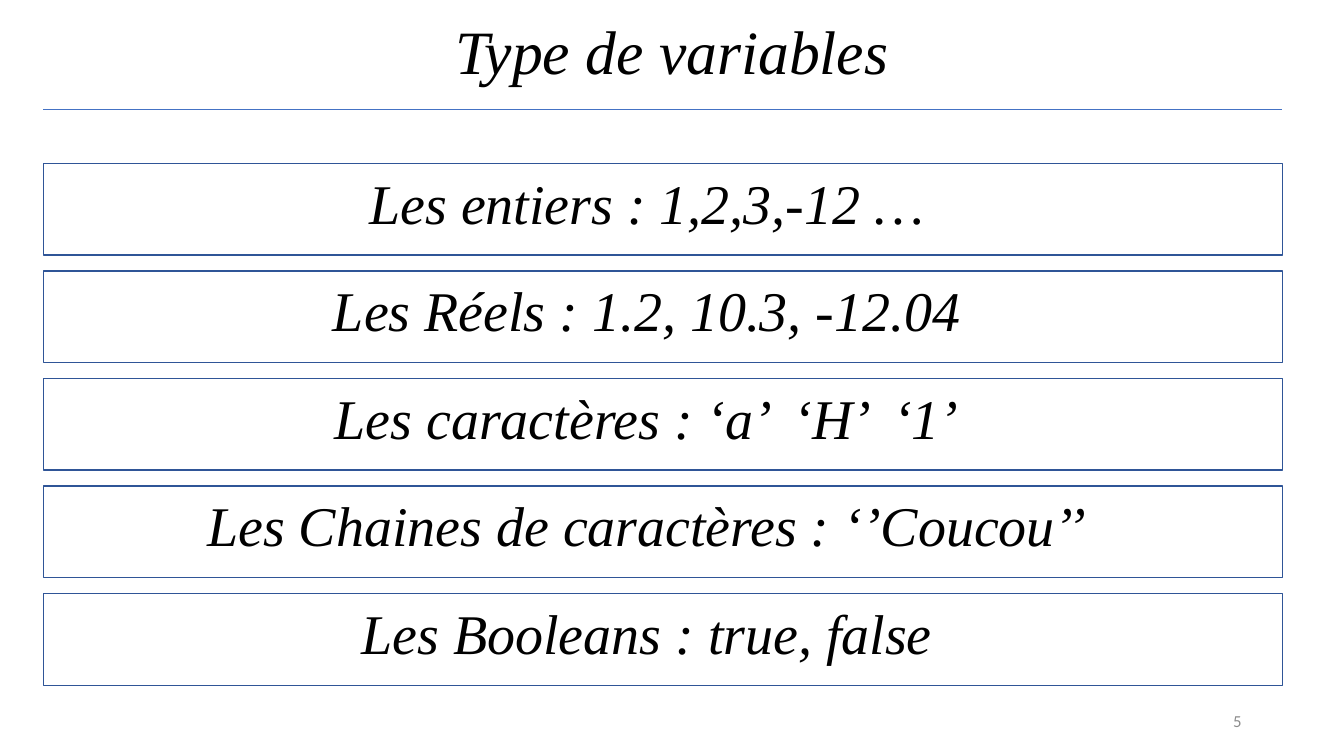
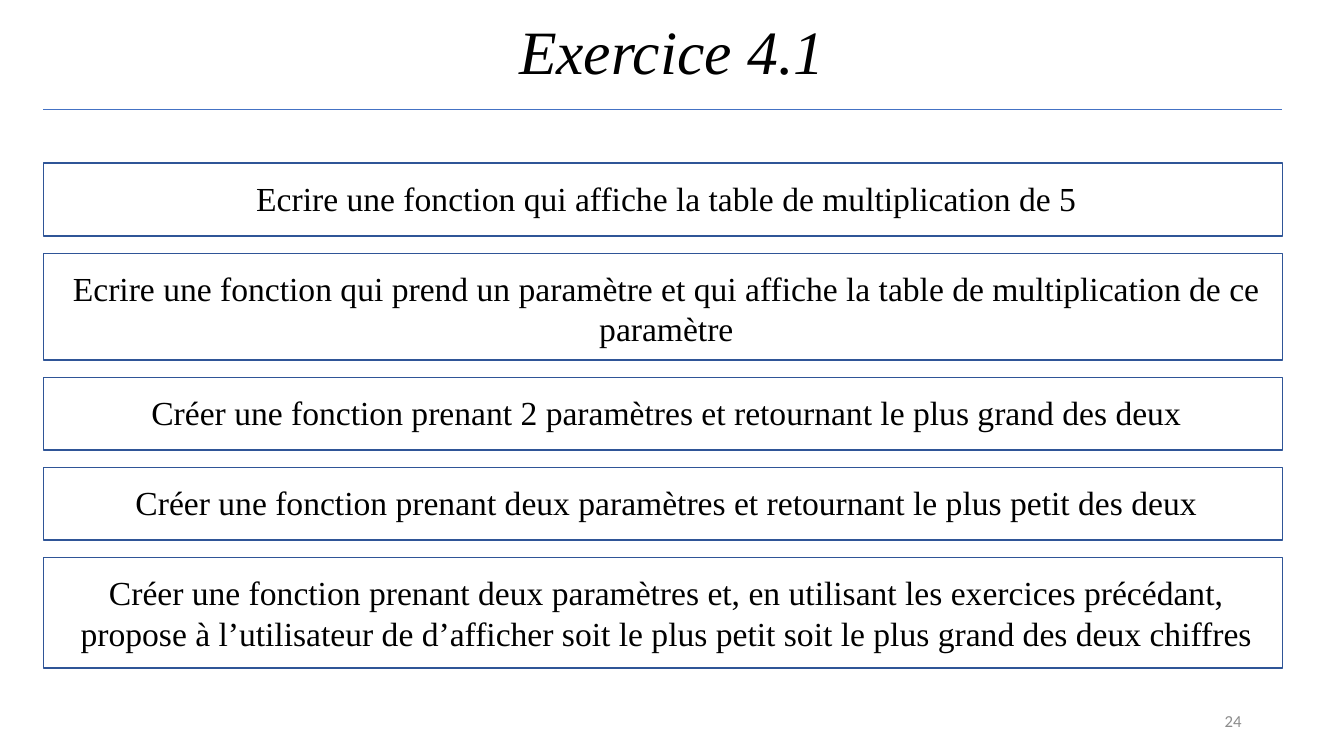
"""Build two lesson slides: variable types and a function exercise."""
from dataclasses import dataclass

from lxml.etree import SubElement
from pptx import Presentation
from pptx.dml.color import RGBColor as Color
from pptx.enum.shapes import MSO_CONNECTOR as Connector, MSO_SHAPE as Shape
from pptx.enum.text import MSO_ANCHOR as Anchor, MSO_AUTO_SIZE as Fit, PP_ALIGN as Align
from pptx.oxml.ns import qn
from pptx.util import Pt


@dataclass(frozen=True)
class Theme:
    """Colours, type styles and shared lengths in points."""

    width: float = 960
    height: float = 540
    left: float = 31
    right: float = 916
    rule_top: float = 78
    stack_top: float = 116.6
    text_left: float = 44
    rule: Color = Color.from_string("4472C4")
    border: Color = Color.from_string("2F5597")
    ink: Color = Color.from_string("000000")
    muted: Color = Color.from_string("8C8C8C")
    serif: str = "Times New Roman"
    sans: str = "Calibri"

    def style(self, name):
        """Return the font format values for a named kind of text."""
        return {
            "title": {"name": self.serif, "size": Pt(44), "italic": True},
            "type": {"name": self.serif, "size": Pt(40), "italic": True},
            "task": {"name": self.serif, "size": Pt(24), "italic": False},
            "number": {"name": self.sans, "size": Pt(12), "italic": False},
        }[name]


@dataclass(frozen=True)
class Stack:
    """Layout of a column of framed statements, in points."""

    style: str
    gap: float
    inset: float
    text_width: float


THEME = Theme()
TYPES = Stack("type", gap=11.35, inset=0, text_width=836)
TASKS = Stack("task", gap=12.3, inset=7, text_width=864)

VARIABLE_TYPES = [
    ("Les entiers : 1,2,3,-12 …", 65.5),
    ("Les Réels : 1.2, 10.3, -12.04", 65.5),
    ("Les caractères : ‘a’  ‘H’  ‘1’", 65.5),
    ("Les Chaines de caractères : ‘’Coucou’’", 65.5),
    ("Les Booleans : true, false", 65.5),
]
EXERCISES = [
    ("Ecrire une fonction qui affiche la table de multiplication de 5", 52),
    ("Ecrire une fonction qui prend un paramètre et qui affiche la table "
     "de multiplication de ce paramètre", 76.3),
    ("Créer une fonction prenant 2 paramètres et retournant le plus grand des deux", 52),
    ("Créer une fonction prenant deux paramètres et retournant le plus petit des deux", 52),
    ("Créer une fonction prenant deux paramètres et, en utilisant les exercices "
     "précédant, propose à l’utilisateur de d’afficher soit le plus petit soit "
     "le plus grand des deux chiffres", 79),
]


def apply(target, values):
    """Set each format value as an attribute of the target."""
    for name, value in values.items():
        setattr(target, name, value)


def add_text(page, text, area, style, color=THEME.ink, para_format=None, frame_format=None):
    """Add a wrapped text box with one styled paragraph."""
    box = page.shapes.add_textbox(*map(Pt, area))
    apply(box.text_frame, {"word_wrap": True, **(frame_format or {})})
    para = box.text_frame.paragraphs[0]
    apply(para, {"alignment": Align.CENTER, **(para_format or {})})
    span = para.add_run()
    span.text = text
    apply(span.font, THEME.style(style))
    span.font.color.rgb = color


def add_rule(page):
    """Draw the thin line under the title."""
    line = page.shapes.add_connector(
        Connector.STRAIGHT, *map(Pt, (THEME.left, THEME.rule_top, THEME.right, THEME.rule_top)))
    line.line.color.rgb = THEME.rule
    line.line.width = Pt(0.5)
    SubElement(line.element.spPr, qn("a:effectLst"))


def add_frame(page, top, height):
    """Draw an unfilled full-width frame."""
    frame = page.shapes.add_shape(
        Shape.RECTANGLE, *map(Pt, (THEME.left, top, THEME.right - THEME.left, height)))
    frame.shadow.inherit = False
    frame.fill.background()
    frame.line.color.rgb = THEME.border
    frame.line.width = Pt(1)


def add_stack(page, stack, items):
    """Stack framed statements downwards with equal gaps."""
    top = THEME.stack_top
    for text, height in items:
        add_frame(page, top, height)
        area = (THEME.text_left, top + stack.inset, stack.text_width, height - 2 * stack.inset)
        add_text(page, text, area, stack.style,
                 frame_format={"auto_size": Fit.SHAPE_TO_FIT_TEXT})
        top += height + stack.gap


def add_page(deck, title, number, stack, items):
    """Add a slide with its title, number, rule and statements."""
    page = deck.slides.add_slide(deck.slide_layouts[6])
    middle = {"vertical_anchor": Anchor.MIDDLE}
    add_text(page, title, (66, -13, 828, 104.4), "title",
             para_format={"line_spacing": 0.9}, frame_format=middle)
    add_text(page, number, (678, 500.4, 216, 28.8), "number", THEME.muted,
             para_format={"alignment": Align.RIGHT}, frame_format=middle)
    add_rule(page)
    add_stack(page, stack, items)


def main():
    """Build and save the deck."""
    deck = Presentation()
    apply(deck, {"slide_width": Pt(THEME.width), "slide_height": Pt(THEME.height)})
    add_page(deck, "Type de variables", "5", TYPES, VARIABLE_TYPES)
    add_page(deck, "Exercice 4.1", "24", TASKS, EXERCISES)
    deck.save("out.pptx")


if __name__ == "__main__":
    main()
